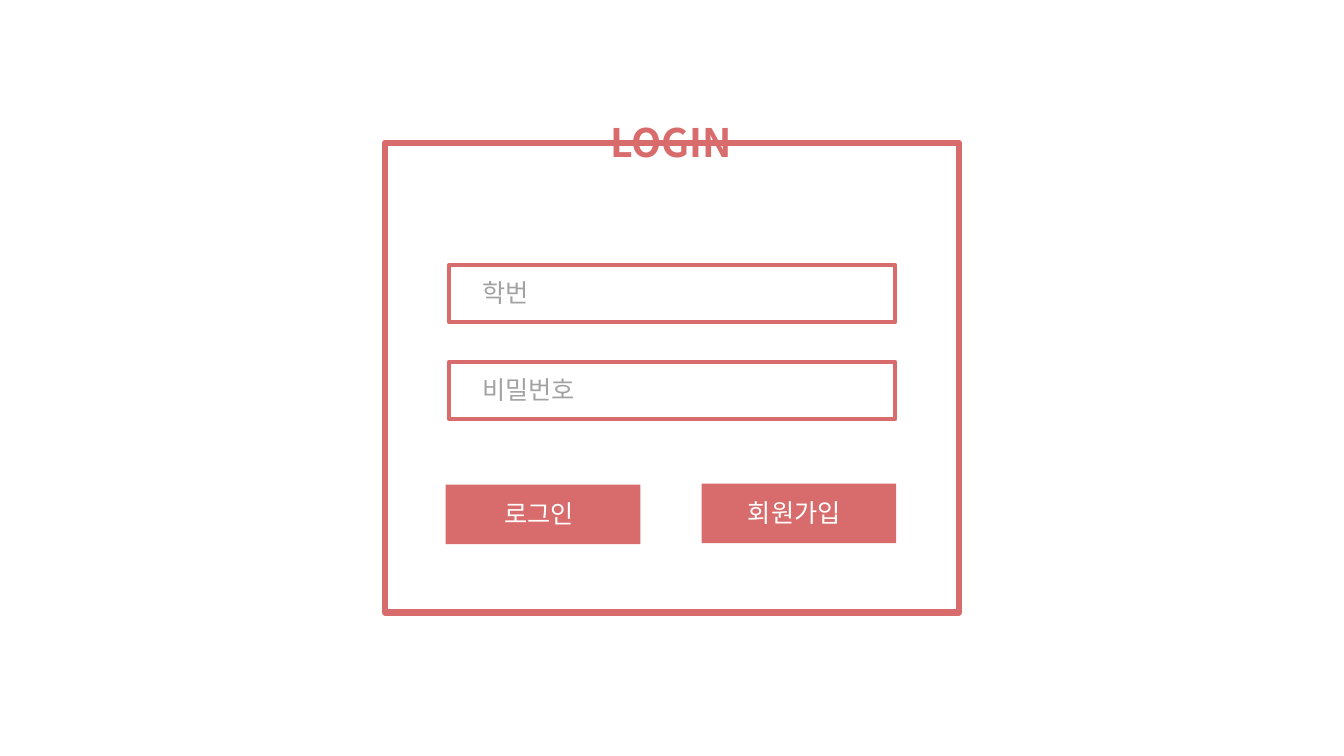
from lxml import etree
from pptx import Presentation
from pptx.dml.color import RGBColor
from pptx.enum import shapes, text
from pptx.oxml.ns import qn
from pptx.util import Pt

FONT = "Noto Sans CJK KR"
CORAL, GRAY, WHITE = "D86C6C", "A2A2A2", "FFFFFF"


def color(value):
    return RGBColor.from_string(value)


def add_rect(s, x, y, w, h, fill=None, line=None, weight=0):
    sp = s.shapes.add_shape(shapes.MSO_SHAPE.RECTANGLE, Pt(x), Pt(y), Pt(w), Pt(h))
    sp.shadow.inherit = False
    if fill:
        sp.fill.solid()
        sp.fill.fore_color.rgb = color(fill)
    else:
        sp.fill.background()
    if line:
        sp.line.color.rgb = color(line)
        sp.line.width = Pt(weight)
    else:
        sp.line.fill.background()


def add_label(s, x, y, w, h, words, size, hue, bold=False):
    tf = s.shapes.add_textbox(Pt(x), Pt(y), Pt(w), Pt(h)).text_frame
    tf.word_wrap = False
    tf.auto_size = text.MSO_AUTO_SIZE.SHAPE_TO_FIT_TEXT
    p = tf.paragraphs[0]
    p.text = words
    p.font.name = FONT
    p.font.size = Pt(size)
    p.font.bold = bold
    p.font.color.rgb = color(hue)
    props = p._p.pPr.find(qn("a:defRPr"))
    etree.SubElement(props, qn("a:ea"), typeface=FONT)


def add_frame(s, x, y, w, h, title):
    add_rect(s, x, y, w, h, line=CORAL, weight=4.5)
    title_w = 102
    add_label(s, x + (w - title_w) / 2, y - 21, title_w, 41, title, 28, CORAL, True)


def add_field(s, x, y, w, h, hint, hint_w):
    add_rect(s, x, y, w, h, line=CORAL, weight=3)
    add_label(s, x + 16.5, y + 5.4, hint_w, 29, hint, 18, GRAY)


def add_button(s, x, y, w, h, caption, caption_w):
    add_rect(s, x, y, w, h, fill=CORAL)
    add_label(s, x + (w - caption_w) / 2, y + 6.5, caption_w, 29, caption, 18, WHITE)


def login_slide(prs):
    s = prs.slides.add_slide(prs.slide_layouts[6])
    add_frame(s, 275, 102, 410, 335.5, "LOGIN")
    for i, (hint, hint_w) in enumerate([("학번", 57.5), ("비밀번호", 104.5)]):
        add_field(s, 321, 189.2 + 69.3 * i, 318.5, 41, hint, hint_w)
    for i, (caption, caption_w) in enumerate([("로그인", 69), ("회원가입", 87)]):
        add_button(s, 318.4 + 182.8 * i, 346.2 - 0.7 * i, 139, 42.5, caption, caption_w)


def main():
    prs = Presentation()
    prs.slide_width, prs.slide_height = Pt(960), Pt(540)
    login_slide(prs)
    prs.save("out.pptx")


if __name__ == "__main__":
    main()
